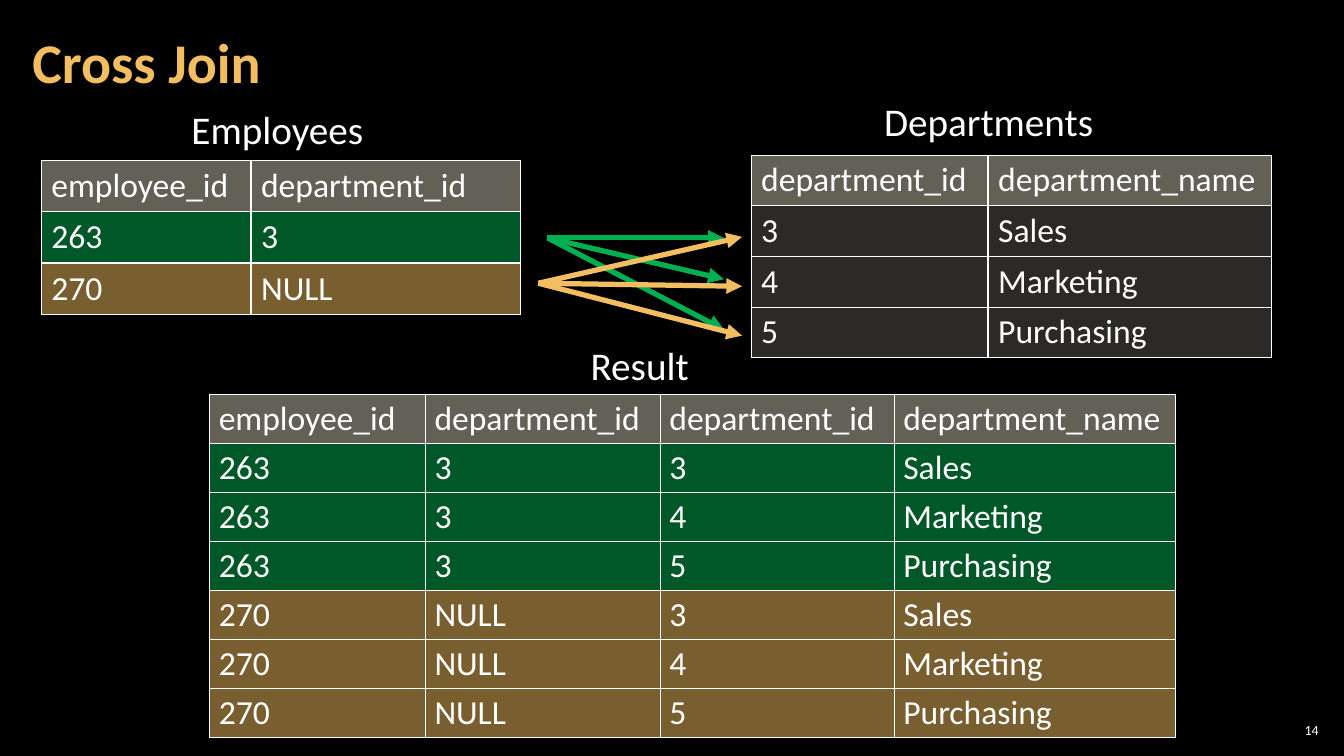
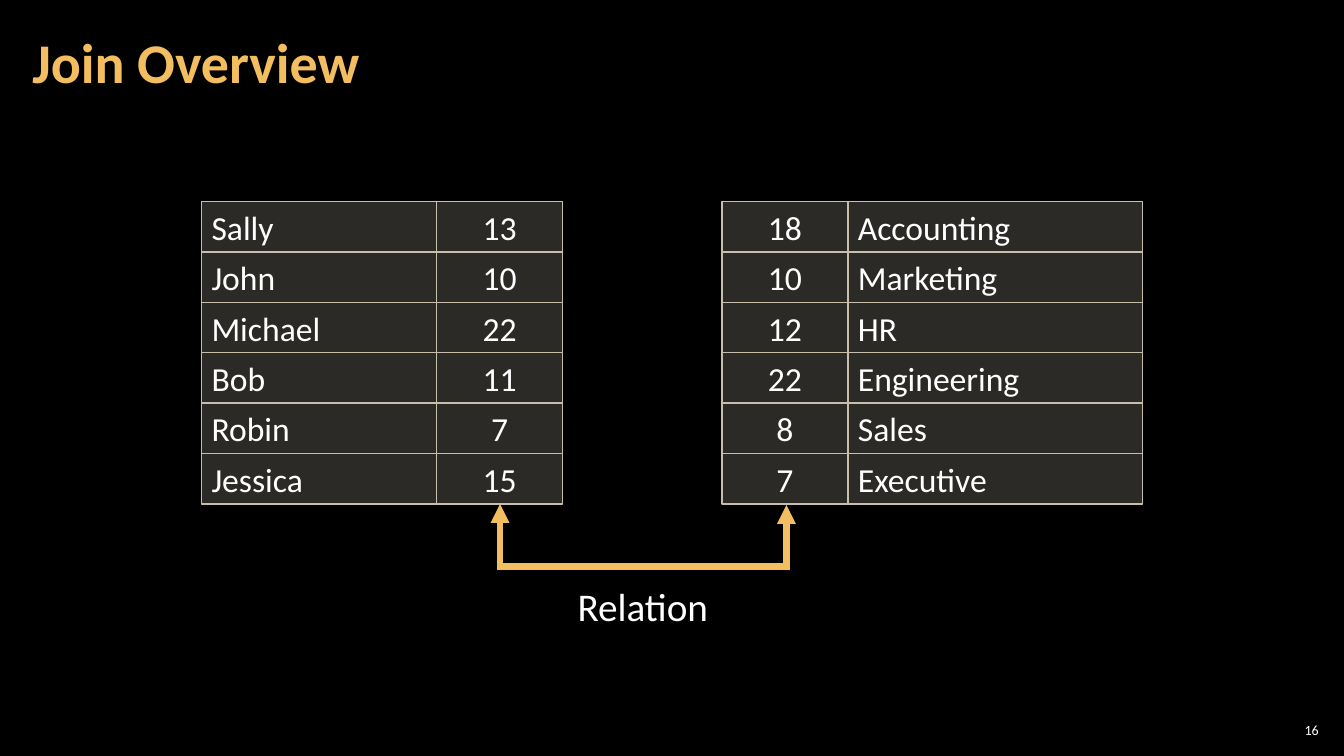
from dataclasses import dataclass
from itertools import product

from lxml import etree
from pptx import Presentation
from pptx.dml.color import RGBColor
from pptx.enum.shapes import MSO_CONNECTOR, MSO_SHAPE
from pptx.enum.text import MSO_ANCHOR, MSO_AUTO_SIZE, PP_ALIGN
from pptx.oxml.ns import qn
from pptx.util import Inches, Pt

LEFT, CENTER, RIGHT = PP_ALIGN.LEFT, PP_ALIGN.CENTER, PP_ALIGN.RIGHT
MIDDLE = MSO_ANCHOR.MIDDLE
STRAIGHT, ELBOW = MSO_CONNECTOR.STRAIGHT, MSO_CONNECTOR.ELBOW
RECTANGLE = MSO_SHAPE.RECTANGLE


@dataclass(frozen=True)
class Theme:
    font: str = "Calibri"
    background: str = "000000"
    text: str = "FFFFFF"
    gold: str = "F3BE60"
    green: str = "00B050"
    grid: str = "C7BFAC"
    # Cell fills: colour and opacity in percent
    header_fill: tuple = ("C6C0AA", 50)
    plain_fill: tuple = ("D9D5C7", 20)
    green_fill: tuple = ("00B050", 50)
    gold_fill: tuple = ("F3BE60", 50)
    title_size: int = 40
    label_size: int = 28
    cell_size: int = 24
    number_size: int = 10
    border: int = 1


T = Theme()

# Cross join: the result pairs every employee with every department
EMPLOYEE_HEAD = ("employee_id", "department_id")
EMPLOYEES = [("263", "3"), ("270", "NULL")]
EMPLOYEE_FILLS = [T.green_fill, T.gold_fill]
DEPARTMENT_HEAD = ("department_id", "department_name")
DEPARTMENTS = [("3", "Sales"), ("4", "Marketing"), ("5", "Purchasing")]
CROSS_LABELS = [  # text, left, top, width
    ("Employees", 1.8, 1, 1.92),
    ("Departments", 8.67, 0.92, 2.3),
    ("Result", 5.76, 3.34, 1.19),
]
CROSS_ARROWS = [  # colour, start, end x, end ys
    (T.green, (5.43, 2.36), 7.18, (2.36, 2.77, 3.27)),
    (T.gold, (5.34, 2.81), 7.36, (2.35, 2.84, 3.33)),
]

# Join overview
PEOPLE = [("Sally", "13"), ("John", "10"), ("Michael", "22"),
          ("Bob", "11"), ("Robin", "7"), ("Jessica", "15")]
UNITS = [("18", "Accounting"), ("10", "Marketing"), ("12", "HR"),
         ("22", "Engineering"), ("8", "Sales"), ("7", "Executive")]
ROW_HEIGHT = 0.5


def rgb(color):
    return RGBColor.from_string(color)


def add_run(p, text, size, color=T.text, bold=False):
    r = p.add_run()
    r.text = text
    r.font.name, r.font.size, r.font.bold = T.font, Pt(size), bold
    r.font.color.rgb = rgb(color)


def set_margins(box, x, y):
    box.margin_left = box.margin_right = Inches(x)
    box.margin_top = box.margin_bottom = Inches(y)


def add_slide(prs, title, number):
    s = prs.slides.add_slide(prs.slide_layouts[5])
    shape = s.shapes.title
    shape.left, shape.top = Inches(0.2), Inches(0.04)
    shape.width, shape.height = Inches(10.47), Inches(1.21)
    tf = shape.text_frame
    tf.vertical_anchor = MIDDLE
    set_margins(tf, 0.12, 0.04)
    p = tf.paragraphs[0]
    p.alignment, p.line_spacing = LEFT, 0.9
    add_run(p, title, T.title_size, T.gold, bold=True)

    box = s.shapes.add_textbox(Inches(12.65), Inches(7.14), Inches(0.47), Inches(0.21))
    tf = box.text_frame
    tf.word_wrap = True
    tf.vertical_anchor = MIDDLE
    set_margins(tf, 0.04, 0.04)
    p = tf.paragraphs[0]
    p.alignment = RIGHT
    add_run(p, number, T.number_size)
    return s


def add_label(s, text, left, top, width, align=LEFT):
    box = s.shapes.add_textbox(Inches(left), Inches(top), Inches(width), Inches(0.57))
    tf = box.text_frame
    tf.word_wrap = False
    tf.auto_size = MSO_AUTO_SIZE.SHAPE_TO_FIT_TEXT
    p = tf.paragraphs[0]
    p.alignment = align
    add_run(p, text, T.label_size)


def fill_translucent(item, pr, fill):
    """Fill a cell or shape whose properties element is pr."""
    color, opacity = fill
    item.fill.solid()
    item.fill.fore_color.rgb = rgb(color)
    clr = pr.find(qn("a:solidFill")).find(qn("a:srgbClr"))
    etree.SubElement(clr, qn("a:alpha"), val=str(opacity * 1000))


def add_cell_borders(tc_pr):
    for i, side in enumerate("LRTB"):
        ln = etree.Element(qn(f"a:ln{side}"), w=str(Pt(T.border)))
        solid = etree.SubElement(ln, qn("a:solidFill"))
        etree.SubElement(solid, qn("a:srgbClr"), val=T.text)
        tc_pr.insert(i, ln)


def add_data_table(s, rows, fills, left, top, widths, height, margin=0.1):
    """Add a table with one fill per row."""
    frame = s.shapes.add_table(len(rows), len(widths), Inches(left), Inches(top),
                               Inches(sum(widths)), Inches(height))
    table = frame.table
    table.first_row = table.horz_banding = False
    for column, width in zip(table.columns, widths):
        column.width = Inches(width)
    for i, (row, fill) in enumerate(zip(rows, fills)):
        for j, text in enumerate(row):
            cell = table.cell(i, j)
            cell.vertical_anchor = MIDDLE
            set_margins(cell, margin, 0.04)
            add_run(cell.text_frame.paragraphs[0], text, T.cell_size)
            tc_pr = cell._tc.get_or_add_tcPr()
            fill_translucent(cell, tc_pr, fill)
            add_cell_borders(tc_pr)


def add_boxes(s, rows, left, top, widths, aligns):
    """Stack rows of touching rectangles."""
    for i, row in enumerate(rows):
        x = left
        for text, width, align in zip(row, widths, aligns):
            box = s.shapes.add_shape(RECTANGLE, Inches(x), Inches(top + i * ROW_HEIGHT),
                                     Inches(width), Inches(ROW_HEIGHT))
            x += width
            box.shadow.inherit = False
            fill_translucent(box, box._element.spPr, T.plain_fill)
            box.line.color.rgb = rgb(T.grid)
            box.line.width = Pt(T.border)
            tf = box.text_frame
            tf.word_wrap = True
            tf.vertical_anchor = MIDDLE
            p = tf.paragraphs[0]
            p.alignment = align
            add_run(p, text, T.cell_size)


def add_arrow(s, kind, start, end, color, width, ends=("tailEnd",)):
    points = [Inches(v) for v in (*start, *end)]
    arrow = s.shapes.add_connector(kind, *points)
    arrow.line.color.rgb = rgb(color)
    arrow.line.width = Pt(width)
    sp_pr = arrow._element.spPr
    ln = sp_pr.find(qn("a:ln"))
    etree.SubElement(ln, qn("a:miter"), lim="800000")
    for tag in ends:
        etree.SubElement(ln, qn(f"a:{tag}"), type="triangle")
    etree.SubElement(sp_pr, qn("a:effectLst"))
    return arrow


def add_u_arrow(s, x1, x2, top, drop):
    """Join two points from below; the elbow lies on its side, then is turned."""
    span, thin = x2 - x1, 0.01
    mid_x, mid_y = (x1 + x2) / 2, top + thin / 2
    arrow = add_arrow(s, ELBOW, (mid_x - thin / 2, mid_y - span / 2),
                      (mid_x + thin / 2, mid_y + span / 2),
                      T.gold, 4.5, ("headEnd", "tailEnd"))
    sp_pr = arrow._element.spPr
    xfrm = sp_pr.find(qn("a:xfrm"))
    xfrm.set("rot", str(270 * 60000))
    xfrm.set("flipH", "1")
    guides = sp_pr.find(qn("a:prstGeom")).find(qn("a:avLst"))
    etree.SubElement(guides, qn("a:gd"), name="adj1",
                     fmla=f"val {round(drop / thin * 100000)}")


def build_cross_join(prs):
    s = add_slide(prs, "Cross Join", "14")
    add_data_table(s, [EMPLOYEE_HEAD, *EMPLOYEES], [T.header_fill, *EMPLOYEE_FILLS],
                   0.41, 1.59, (2.08, 2.67), 1.53)
    add_data_table(s, [DEPARTMENT_HEAD, *DEPARTMENTS],
                   [T.header_fill] + [T.plain_fill] * len(DEPARTMENTS),
                   7.45, 1.54, (2.35, 2.81), 2.01)
    pairs = [e + d for e, d in product(EMPLOYEES, DEPARTMENTS)]
    pair_fills = [fill for fill, _ in product(EMPLOYEE_FILLS, DEPARTMENTS)]
    add_data_table(s, [EMPLOYEE_HEAD + DEPARTMENT_HEAD, *pairs],
                   [T.header_fill, *pair_fills],
                   2.08, 3.91, (2.14, 2.33, 2.32, 2.79), 3.41, margin=0.09)
    for label in CROSS_LABELS:
        add_label(s, *label)
    for color, start, end_x, end_ys in CROSS_ARROWS:
        for end_y in end_ys:
            add_arrow(s, STRAIGHT, start, (end_x, end_y), color, 3.75)


def build_overview(prs):
    s = add_slide(prs, "Join Overview", "16")
    add_boxes(s, PEOPLE, 2, 2, (2.33, 1.25), (LEFT, CENTER))
    add_boxes(s, UNITS, 7.16, 2, (1.25, 2.92), (CENTER, LEFT))
    add_u_arrow(s, 4.96, 7.8, 5, 0.63)
    add_label(s, "Relation", 5.62, 5.73, 1.51, CENTER)


def main():
    prs = Presentation()
    prs.slide_width, prs.slide_height = Inches(13.33), Inches(7.5)
    fill = prs.slide_master.background.fill
    fill.solid()
    fill.fore_color.rgb = rgb(T.background)
    build_cross_join(prs)
    build_overview(prs)
    prs.save("out.pptx")


if __name__ == "__main__":
    main()
